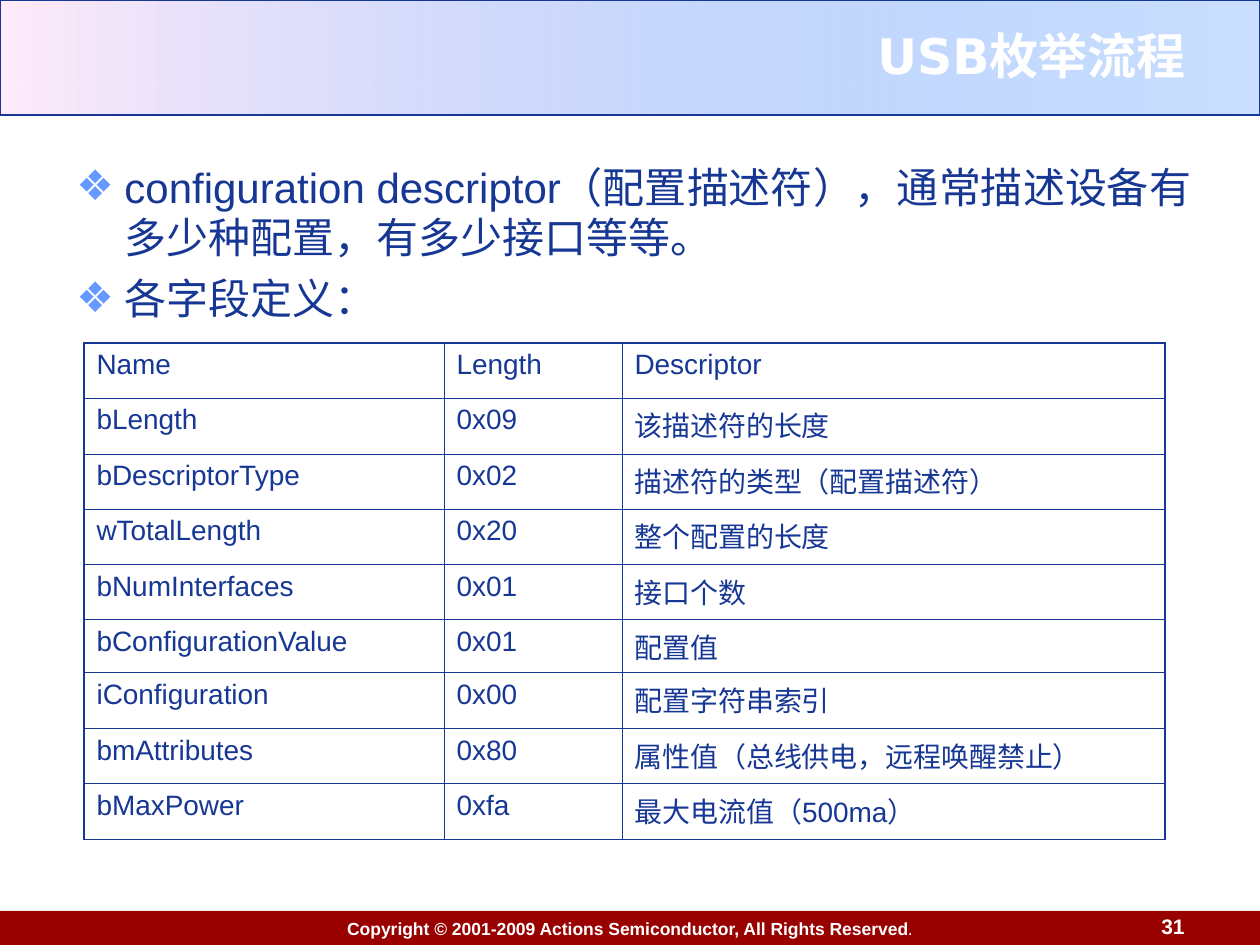
from dataclasses import dataclass
from typing import Any

from lxml import etree
from pptx import Presentation
from pptx import util as u
from pptx.dml.color import RGBColor
from pptx.enum import shapes, text
from pptx.oxml.ns import qn

SCALE = u.Inches(1) / 126
NAVY, SKY, PINK, BLUE = "163794", "6699FF", "FFEBFA", "5E9EFF"
RED, WHITE = "990000", "FFFFFF"

COLUMN_WIDTHS = [360, 178, 543]
ROW_HEIGHTS = [55, 56, 55, 56, 55, 53, 56, 55, 56]
THICK, THIN = 1.08, 0.45


@dataclass
class Area:
    left: int
    top: int
    width: int
    height: int

    def emu(self) -> list[int]:
        return [px(n) for n in (self.left, self.top, self.width, self.height)]


@dataclass
class Field:
    name: str
    length: str
    meaning: str


FIELDS = [
    Field("Name", "Length", "Descriptor"),
    Field("bLength", "0x09", "该描述符的长度"),
    Field("bDescriptorType", "0x02", "描述符的类型（配置描述符）"),
    Field("wTotalLength", "0x20", "整个配置的长度"),
    Field("bNumInterfaces", "0x01", "接口个数"),
    Field("bConfigurationValue", "0x01", "配置值"),
    Field("iConfiguration", "0x00", "配置字符串索引"),
    Field("bmAttributes", "0x80", "属性值（总线供电，远程唤醒禁止）"),
    Field("bMaxPower", "0xfa", "最大电流值（500ma）"),
]
POINTS = [
    "configuration descriptor（配置描述符），通常描述设备有多少种配置，有多少接口等等。",
    "各字段定义：",
]


def px(count: int) -> int:
    return round(count * SCALE)


def rgb(value: str) -> RGBColor:
    return RGBColor.from_string(value)


def write(para: Any, words: str, *, size: int, color: str = NAVY, bold: bool = False,
          font: str = "Arial", align: Any = text.PP_ALIGN.LEFT) -> None:
    para.alignment = align
    span = para.add_run()
    span.text = words
    span.font.name = font
    span.font.size = u.Pt(size)
    span.font.bold = bold
    span.font.color.rgb = rgb(color)


def add_bullet(para: Any, mark: str, color: str, indent: int) -> None:
    props = para._p.get_or_add_pPr()
    props.set("marL", str(px(indent)))
    props.set("indent", str(-px(indent)))
    tint = etree.SubElement(props, qn("a:buClr"))
    etree.SubElement(tint, qn("a:srgbClr"), val=color)
    etree.SubElement(props, qn("a:buFont"), typeface="Arial")
    etree.SubElement(props, qn("a:buChar"), char=mark)


def add_band(page: Any, area: Area) -> Any:
    band = page.shapes.add_shape(shapes.MSO_SHAPE.RECTANGLE, *area.emu())
    band.shadow.inherit = False
    return band


def add_header(page: Any) -> None:
    band = add_band(page, Area(0, 0, 1260, 115))
    band.line.color.rgb = rgb(NAVY)
    band.line.width = u.Pt(0.75)
    band.fill.gradient()
    band.fill.gradient_angle = 180
    for stop, color in zip(band.fill.gradient_stops, (BLUE, PINK)):
        stop.color.rgb = rgb(color)
    first_color = band.element.xpath(".//a:gs[1]/a:srgbClr")[0]
    etree.SubElement(first_color, qn("a:alpha"), val="32000")


def add_footer(page: Any) -> None:
    band = add_band(page, Area(0, 911, 1260, 36))
    band.fill.solid()
    band.fill.fore_color.rgb = rgb(RED)
    band.line.fill.background()
    frame = band.text_frame
    frame.word_wrap = False
    frame.vertical_anchor = text.MSO_ANCHOR.MIDDLE
    para = frame.paragraphs[0]
    for words, bold in (
        ("Copyright © 2001-2009 Actions Semiconductor, All Rights Reserved", True),
        (".", False),
    ):
        write(para, words, size=10, color=WHITE, bold=bold, align=text.PP_ALIGN.CENTER)

    number = page.shapes.add_textbox(*Area(1126, 910, 71, 35).emu()).text_frame
    number.word_wrap = True
    number.vertical_anchor = text.MSO_ANCHOR.BOTTOM
    write(number.paragraphs[0], "31", size=12, color=WHITE, bold=True,
          align=text.PP_ALIGN.RIGHT)


def set_title(page: Any, words: str) -> None:
    title = page.shapes.title
    title.left, title.top, title.width, title.height = Area(253, 16, 945, 78).emu()
    title.element.getparent().append(title.element)  # in front of the header band
    frame = title.text_frame
    frame.word_wrap = True
    frame.auto_size = text.MSO_AUTO_SIZE.NONE
    frame.vertical_anchor = text.MSO_ANCHOR.MIDDLE
    write(frame.paragraphs[0], words, size=28, color=WHITE, bold=True,
          font="DejaVu Sans", align=text.PP_ALIGN.RIGHT)


def add_points(page: Any) -> None:
    frame = page.shapes.add_textbox(*Area(64, 155, 1150, 743).emu()).text_frame
    frame.word_wrap = True
    for index, words in enumerate(POINTS):
        para = frame.add_paragraph() if index else frame.paragraphs[0]
        add_bullet(para, "❖", SKY, 48)
        if index:
            para.space_before = u.Pt(6)
        write(para, words, size=24)


def set_borders(cell: Any, widths: dict[str, float]) -> None:
    """Draw cell edges; widths maps a:lnX side letters to points."""
    props = cell._tc.get_or_add_tcPr()
    for position, (side, width) in enumerate(widths.items()):
        line = etree.Element(qn(f"a:ln{side}"), w=str(u.Pt(width)))
        fill = etree.SubElement(line, qn("a:solidFill"))
        etree.SubElement(fill, qn("a:srgbClr"), val=NAVY)
        props.insert(position, line)


def add_field_table(page: Any) -> None:
    area = Area(84, 343, sum(COLUMN_WIDTHS), sum(ROW_HEIGHTS))
    table = page.shapes.add_table(len(FIELDS), len(COLUMN_WIDTHS), *area.emu()).table
    table.first_row = table.horz_banding = False
    for column, width in zip(table.columns, COLUMN_WIDTHS):
        column.width = px(width)
    last_row, last_column = len(FIELDS) - 1, len(COLUMN_WIDTHS) - 1
    for r, (field, height) in enumerate(zip(FIELDS, ROW_HEIGHTS)):
        table.rows[r].height = px(height)
        for c, words in enumerate((field.name, field.length, field.meaning)):
            cell = table.cell(r, c)
            cell.fill.background()
            outer = {"L": c == 0, "R": c == last_column, "T": r == 0, "B": r == last_row}
            set_borders(cell, {side: THICK if edge else THIN for side, edge in outer.items()})
            write(cell.text_frame.paragraphs[0], words, size=16)


def main() -> None:
    deck = Presentation()
    deck.slide_width, deck.slide_height = px(1260), px(945)
    page = deck.slides.add_slide(deck.slide_layouts[5])
    add_header(page)
    add_footer(page)
    set_title(page, "USB枚举流程")
    add_points(page)
    add_field_table(page)
    deck.save("out.pptx")


if __name__ == "__main__":
    main()
